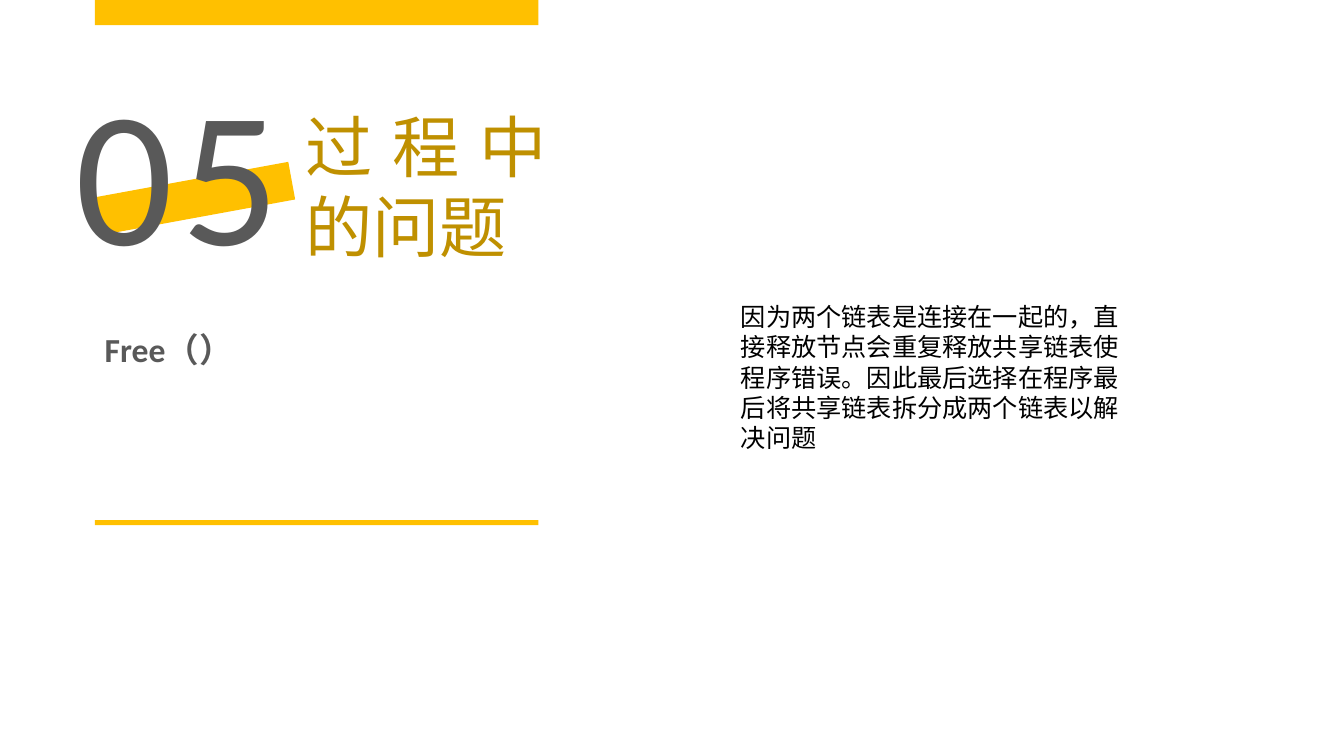
import pptx
import pptx.util
import pptx.dml.color
import pptx.enum.shapes
import pptx.enum.text
import pptx.oxml.ns
from dataclasses import dataclass
from lxml import etree

Inches = pptx.util.Inches
Align = pptx.enum.text.PP_ALIGN


@dataclass(frozen=True)
class Theme:
    gold: str = "FFC000"
    dark: str = "BF9000"
    gray: str = "595959"
    black: str = "000000"
    latin: str = "Calibri"
    han: str = "Noto Sans CJK SC"
    number: int = 138
    title: int = 48
    label: int = 24
    body: int = 18


THEME = Theme()


def color(code):
    return pptx.dml.color.RGBColor.from_string(code)


def place(shape, left, top, width, height):
    shape.left, shape.top = Inches(left), Inches(top)
    shape.width, shape.height = Inches(width), Inches(height)


def add_bar(slide, left, top, width, height, turn=0):
    bar = slide.shapes.add_shape(
        pptx.enum.shapes.MSO_SHAPE.RECTANGLE,
        Inches(left), Inches(top), Inches(width), Inches(height))
    bar.rotation = turn
    bar.shadow.inherit = False
    bar.fill.solid()
    bar.fill.fore_color.rgb = color(THEME.gold)
    bar.line.fill.background()


def write(shape, text, size, tint, face=THEME.latin, bold=False, align=None):
    frame = shape.text_frame
    frame.word_wrap = True
    frame.auto_size = pptx.enum.text.MSO_AUTO_SIZE.NONE
    frame.vertical_anchor = pptx.enum.text.MSO_ANCHOR.TOP
    frame.text = text
    para = frame.paragraphs[0]
    para.alignment = align
    font = para.font
    font.name, font.size, font.bold = face, pptx.util.Pt(size), bold
    font.color.rgb = color(tint)
    # East Asian glyphs share the line height of the chosen face
    props = para._p.pPr.find(pptx.oxml.ns.qn("a:defRPr"))
    latin = props.find(pptx.oxml.ns.qn("a:latin"))
    east = etree.Element(pptx.oxml.ns.qn("a:ea"), typeface=face)
    latin.addnext(east)
    return para, props


def add_text(slide, box, *args, **style):
    shape = slide.shapes.add_textbox(*map(Inches, box))
    return write(shape, *args, **style)


def add_panel(slide, left, top, width, height):
    # Frame bars and the tilted strip
    add_bar(slide, left, top, width, 0.25)
    add_bar(slide, left, top + height - 0.05, width, 0.05)
    add_bar(slide, left, top + 1.78, 1.97, 0.38, turn=349.6)

    # Section number
    _, props = add_text(slide, (left - 0.29, top + 0.47, 2.45, 2.42), "05",
                        THEME.number, THEME.gray, align=Align.JUSTIFY)
    props.set("spc", "600")

    # Section title
    title = slide.shapes.title
    place(title, left + 1.99, top + 0.99, 2.59, 1.72)
    write(title, "过程中的问题", THEME.title, THEME.dark,
          face=THEME.han, align=Align.JUSTIFY)

    # Topic label
    para, _ = add_text(slide, (left, top + 3.09, width, 0.58), "Free（）",
                       THEME.label, THEME.gray, bold=True)
    para.line_spacing = 1.3


def add_story(slide, left, top, width, height):
    add_text(slide, (left, top, width, height),
             "因为两个链表是连接在一起的，直接释放节点会重复释放共享链表使程序错误。"
             "因此最后选择在程序最后将共享链表拆分成两个链表以解决问题",
             THEME.body, THEME.black)


def main():
    deck = pptx.Presentation()
    deck.slide_width, deck.slide_height = Inches(13.33), Inches(7.5)
    slide = deck.slides.add_slide(deck.slide_layouts.get_by_name("Title Only"))
    add_panel(slide, 0.94, 0, 4.4, 5.21)
    add_story(slide, 7.25, 2.94, 4.02, 1.62)
    deck.save("out.pptx")


if __name__ == "__main__":
    main()
